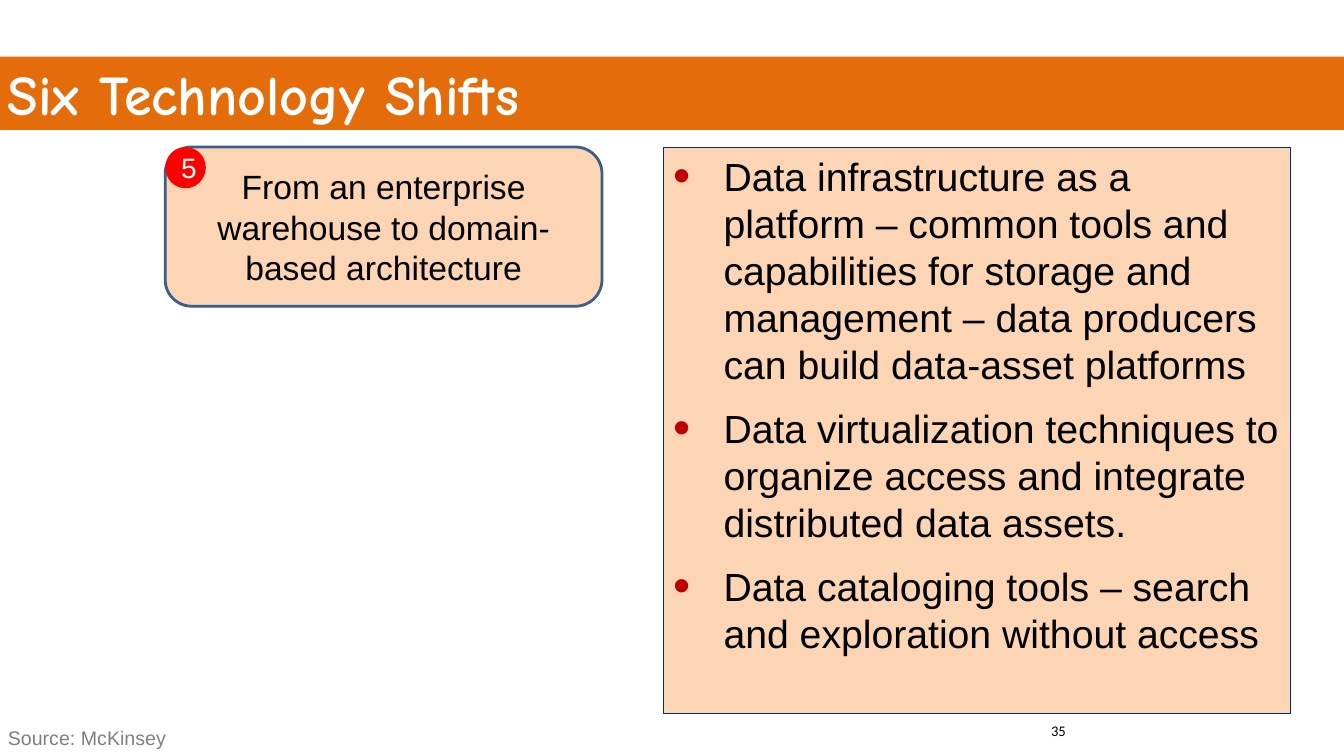
from dataclasses import dataclass

from lxml import etree
from pptx import Presentation
from pptx import util as u
from pptx.dml.color import RGBColor
from pptx.enum import shapes, text
from pptx.oxml import ns


@dataclass(frozen=True)
class Theme:
    orange: str = "E46C0A"
    peach: str = "FCD5B5"
    red: str = "FF0000"
    bullet: str = "C00000"
    navy: str = "002A7E"
    blue: str = "3A5F8C"
    white: str = "FFFFFF"
    black: str = "000000"
    grey: str = "808080"
    body_font: str = "Arial"
    title_font: str = "Comic Neue"
    number_font: str = "Calibri"
    title_size: float = 40
    body_size: float = 28
    card_size: float = 24
    badge_size: float = 20
    source_size: float = 14
    number_size: float = 10.5


theme = Theme()


def add_panel(container, kind, box, fill, line=None, line_width=0):
    shape = container.add_shape(kind, *[u.Pt(length) for length in box])
    shape.shadow.inherit = False
    shape.fill.solid()
    shape.fill.fore_color.rgb = RGBColor.from_string(fill)
    if line:
        shape.line.color.rgb = RGBColor.from_string(line)
        shape.line.width = u.Pt(line_width)
    else:
        shape.line.fill.background()
    return shape


def write(shape, words, size, color, font=theme.body_font, bold=False,
          align=text.PP_ALIGN.LEFT, anchor=text.MSO_ANCHOR.MIDDLE, wrap=True):
    frame = shape.text_frame
    frame.text = words
    frame.word_wrap = wrap
    frame.vertical_anchor = anchor
    for paragraph in frame.paragraphs:
        paragraph.alignment = align
        for run in paragraph.runs:
            run.font.name = font
            run.font.size = u.Pt(size)
            run.font.bold = bold
            run.font.color.rgb = RGBColor.from_string(color)


presentation = Presentation()
presentation.slide_width = u.Pt(960)
presentation.slide_height = u.Pt(540)
slide = presentation.slides.add_slide(presentation.slide_layouts[6])

# Footer: slide number and source
number = slide.shapes.add_textbox(u.Pt(743.75), u.Pt(512), u.Pt(216), u.Pt(28.8))
write(number, "35", theme.number_size, theme.black, theme.number_font,
      anchor=text.MSO_ANCHOR.TOP)
source = slide.shapes.add_textbox(u.Pt(-1.5), u.Pt(515), u.Pt(128), u.Pt(24.5))
write(source, "Source: McKinsey", theme.source_size, theme.grey,
      anchor=text.MSO_ANCHOR.TOP, wrap=False)

# Bulleted details
details = add_panel(slide.shapes, shapes.MSO_SHAPE.RECTANGLE,
                    (473.75, 105.25, 448, 404.5), theme.peach, theme.navy, 0.75)
points = [
    "Data infrastructure as a platform – common tools and capabilities for storage "
    "and management – data producers can build data-asset platforms",
    "Data virtualization techniques to organize access and integrate distributed data assets.",
    "Data cataloging tools – search and exploration without access",
]
write(details, "\n".join(points), theme.body_size, theme.black,
      anchor=text.MSO_ANCHOR.TOP)
for index, paragraph in enumerate(details.text_frame.paragraphs):
    paragraph.space_before = u.Pt(6 if index else 0)
    paragraph.space_after = u.Pt(6)
    properties = paragraph._p.get_or_add_pPr()
    properties.set("marL", str(u.Pt(36)))
    properties.set("indent", str(u.Pt(-36)))
    bullet_color = etree.SubElement(properties, ns.qn("a:buClr"))
    etree.SubElement(bullet_color, ns.qn("a:srgbClr"), val=theme.bullet)
    etree.SubElement(properties, ns.qn("a:buSzPct"), val="125000")
    etree.SubElement(properties, ns.qn("a:buFont"), typeface=theme.body_font)
    etree.SubElement(properties, ns.qn("a:buChar"), char="•")

# Title band
title = add_panel(slide.shapes, shapes.MSO_SHAPE.RECTANGLE,
                  (-1.5, 40.5, 963, 52.25), theme.orange)
write(title, "Six Technology Shifts", theme.title_size, theme.white,
      theme.title_font, bold=True)

# Shift card with its number badge
group = slide.shapes.add_group_shape()
card = add_panel(group.shapes, shapes.MSO_SHAPE.ROUNDED_RECTANGLE,
                 (118, 105, 312, 113.75), theme.peach, theme.blue, 2)
write(card, "From an enterprise warehouse to domain-based architecture",
      theme.card_size, theme.black, align=text.PP_ALIGN.CENTER)
badge = add_panel(group.shapes, shapes.MSO_SHAPE.OVAL,
                  (118, 105, 29, 29.5), theme.red)
write(badge, "5", theme.badge_size, theme.white, align=text.PP_ALIGN.CENTER)

presentation.save("out.pptx")
